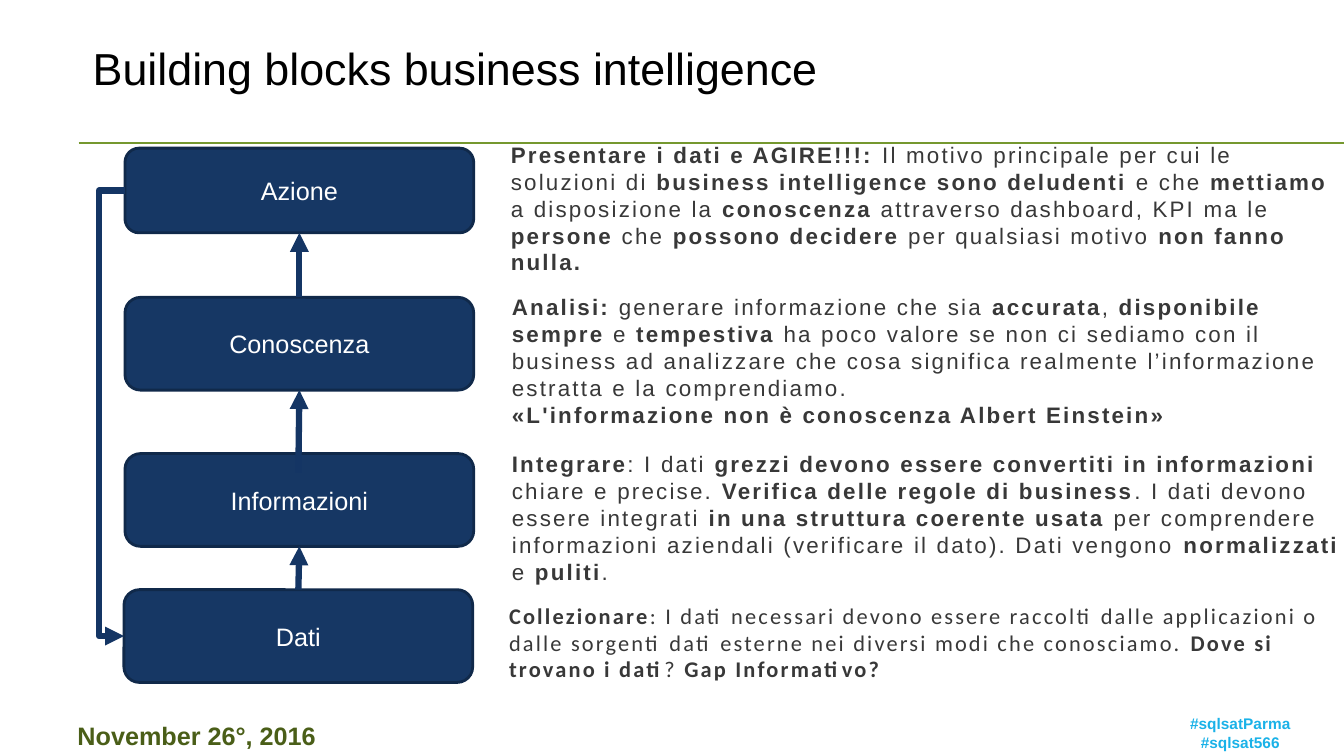
from dataclasses import dataclass
from typing import Optional

from lxml import etree
from pptx import Presentation, util as u
from pptx.dml.color import RGBColor
from pptx.enum import shapes as s, text as t
from pptx.oxml.ns import qn

CELL = u.Inches(1) / 12
COLS, ROWS = 160, 90


@dataclass(frozen=True)
class Theme:
    font: str = "Arial"
    alt: str = "Calibri"
    fill: str = "163764"
    edge: str = "10294A"
    arrow: str = "143564"
    rule: str = "75982F"
    title: str = "000000"
    label: str = "FFFFFF"
    body: str = "383838"
    date: str = "4A5E18"
    tag: str = "1AB2E8"
    title_size: int = 32
    label_size: int = 18
    body_size: int = 16
    tag_size: int = 11
    track: int = 160


THEME = Theme()


@dataclass
class Area:
    col: float
    row: float
    wide: float
    high: float

    def box(self) -> list[int]:
        return [grid(n) for n in (self.col, self.row, self.wide, self.high)]


@dataclass
class Block:
    name: str
    area: Area


@dataclass
class Note:
    area: Area
    lines: list[str]
    size: int
    color: str
    font: str = THEME.font
    align: t.PP_ALIGN = t.PP_ALIGN.LEFT
    inset: bool = True
    wrap: bool = True
    track: int = 0


@dataclass
class Link:
    start: str
    end: str
    side: tuple[int, int] = (0, 2)
    row: Optional[float] = None
    bend: Optional[int] = None


BLOCKS = [
    Block("Azione", Area(14.88, 17.64, 41.52, 10.08)),
    Block("Conoscenza", Area(14.88, 35.4, 41.52, 11.04)),
    Block("Informazioni", Area(14.88, 54, 41.52, 11.04)),
    Block("Dati", Area(14.76, 70.2, 41.52, 11.04)),
]

LINKS = [
    Link("Azione", "Dati", (1, 1), bend=2600000),
    Link("Dati", "Informazioni"),
    Link("Informazioni", "Conoscenza", row=56.28),
    Link("Conoscenza", "Azione"),
]


def body(area: Area, *lines: str, font: str = THEME.font, inset: bool = True) -> Note:
    return Note(area, list(lines), THEME.body_size, THEME.body, font,
                inset=inset, track=THEME.track)


NOTES = [
    Note(Area(132.84, 84.48, 29.64, 5.64), ["*#sqlsatParma*", "*#sqlsat566*"],
         THEME.tag_size, THEME.tag, align=t.PP_ALIGN.CENTER),
    Note(Area(8.04, 85.2, 31.08, 4.8), ["*November 26°, 2016*"],
         THEME.label_size, THEME.date, wrap=False),
    Note(Area(11.04, 4.8, 143.16, 6.48), ["Building blocks business intelligence"],
         THEME.title_size, THEME.title, inset=False),
    body(Area(60.48, 71.64, 97.08, 9.72),
         "*Collezionare*: I dati necessari devono essere raccolti dalle applicazioni o "
         "dalle sorgenti dati esterne nei diversi modi che conosciamo. "
         "*Dove si trovano i dati*? *Gap Informativo?*",
         font=THEME.alt, inset=False),
    body(Area(59.64, 53.04, 102.84, 17.4),
         "*Integrare*: I dati *grezzi devono essere convertiti in informazioni* chiare e "
         "precise. *Verifica delle regole di business*. I dati devono essere integrati "
         "*in una struttura coerente usata* per comprendere informazioni aziendali "
         "(verificare il dato). Dati vengono *normalizzati* e *puliti*."),
    body(Area(59.64, 34.32, 102.84, 17.4),
         "*Analisi: *generare informazione che sia *accurata*, *disponibile sempre* e "
         "*tempestiva* ha poco valore se non ci sediamo con il business ad analizzare "
         "che cosa significa realmente l’informazione estratta e la comprendiamo.",
         "*«L'informazione non è conoscenza Albert Einstein»*"),
    body(Area(59.52, 16.2, 101.64, 17.4),
         "*Presentare i dati e AGIRE!!!: *Il motivo principale per cui le soluzioni di "
         "*business intelligence sono deludenti *e che *mettiamo* a disposizione la "
         "*conoscenza* attraverso dashboard, KPI ma le *persone* che *possono decidere "
         "*per qualsiasi motivo *non fanno nulla.*"),
]


def grid(n: float) -> int:
    return round(n * CELL)


def style(font, size: int, color: str, face: str = THEME.font, bold: bool = False) -> None:
    font.size, font.name, font.bold = u.Pt(size), face, bold
    font.color.rgb = RGBColor.from_string(color)


def write(slide, note: Note) -> None:
    frame = slide.shapes.add_textbox(*note.area.box()).text_frame
    frame.word_wrap = note.wrap
    frame.auto_size = t.MSO_AUTO_SIZE.SHAPE_TO_FIT_TEXT
    if not note.inset:
        frame.margin_left = frame.margin_right = frame.margin_top = frame.margin_bottom = 0
    frame.text = "\n".join([""] * len(note.lines))
    for para, line in zip(frame.paragraphs, note.lines):
        para.alignment = note.align
        if note.track:
            para._p.get_or_add_pPr().set("marL", str(u.Inches(0.01)))
        for i, part in enumerate(line.split("*")):
            if part:
                run = para.add_run()
                run.text = part
                style(run.font, note.size, note.color, note.font, i % 2 == 1)
                if note.track:
                    run._r.get_or_add_rPr().set("spc", str(note.track))


def draw(slide, block: Block):
    shape = slide.shapes.add_shape(s.MSO_SHAPE.ROUNDED_RECTANGLE, *block.area.box())
    shape.shadow.inherit = False
    shape.fill.solid()
    shape.fill.fore_color.rgb = RGBColor.from_string(THEME.fill)
    shape.line.color.rgb = RGBColor.from_string(THEME.edge)
    shape.line.width = u.Pt(2)
    frame = shape.text_frame
    frame.text = block.name
    frame.vertical_anchor = t.MSO_ANCHOR.MIDDLE
    frame.paragraphs[0].alignment = t.PP_ALIGN.CENTER
    style(frame.paragraphs[0].runs[0].font, THEME.label_size, THEME.label)
    return shape


def stroke(line, color: str, width: float) -> None:
    line.line.color.rgb = RGBColor.from_string(color)
    line.line.width = u.Pt(width)
    etree.SubElement(line._element.spPr, qn("a:effectLst"))


def join(slide, link: Link, made: dict) -> None:
    kind = s.MSO_CONNECTOR.ELBOW if link.bend else s.MSO_CONNECTOR.STRAIGHT
    line = slide.shapes.add_connector(kind, grid(35.52), grid(link.row or 0), 0, 0)
    if link.row is None:
        line.begin_connect(made[link.start], link.side[0])
    line.end_connect(made[link.end], link.side[1])
    stroke(line, THEME.arrow, 4.5)
    etree.SubElement(line.line._get_or_add_ln(), qn("a:tailEnd"), type="triangle")
    if link.bend:
        guides = line._element.spPr.find(qn("a:prstGeom")).find(qn("a:avLst"))
        etree.SubElement(guides, qn("a:gd"), name="adj1", fmla=f"val {link.bend}")


def main() -> None:
    deck = Presentation()
    deck.slide_width, deck.slide_height = grid(COLS), grid(ROWS)
    slide = deck.slides.add_slide(deck.slide_layouts[6])
    rule = slide.shapes.add_connector(
        s.MSO_CONNECTOR.STRAIGHT, grid(9.36), grid(17.04), grid(161.4), grid(17.04))
    stroke(rule, THEME.rule, 1)
    made = {block.name: draw(slide, block) for block in BLOCKS}
    for note in NOTES:
        write(slide, note)
    for link in LINKS:
        join(slide, link, made)
    deck.save("out.pptx")


if __name__ == "__main__":
    main()
